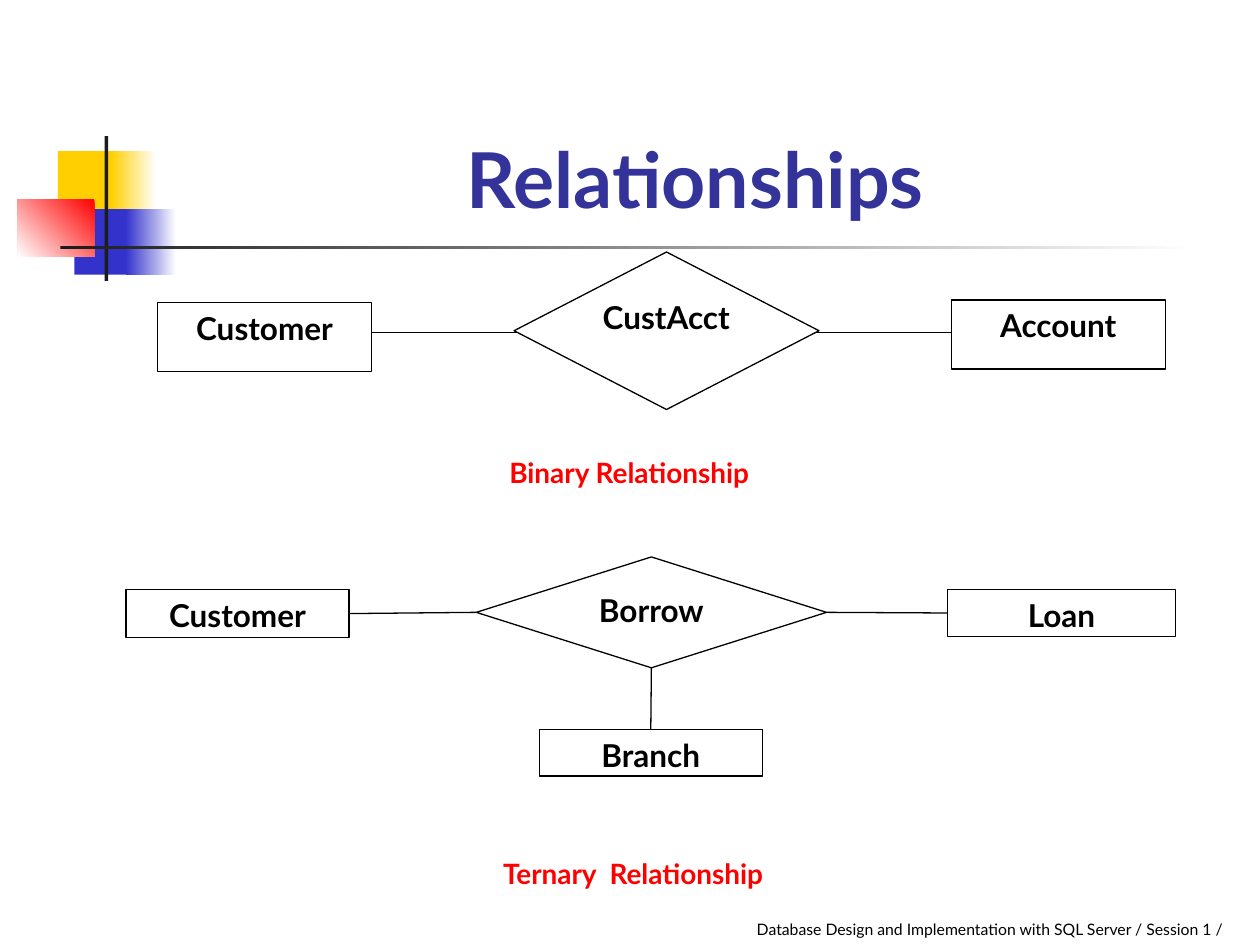
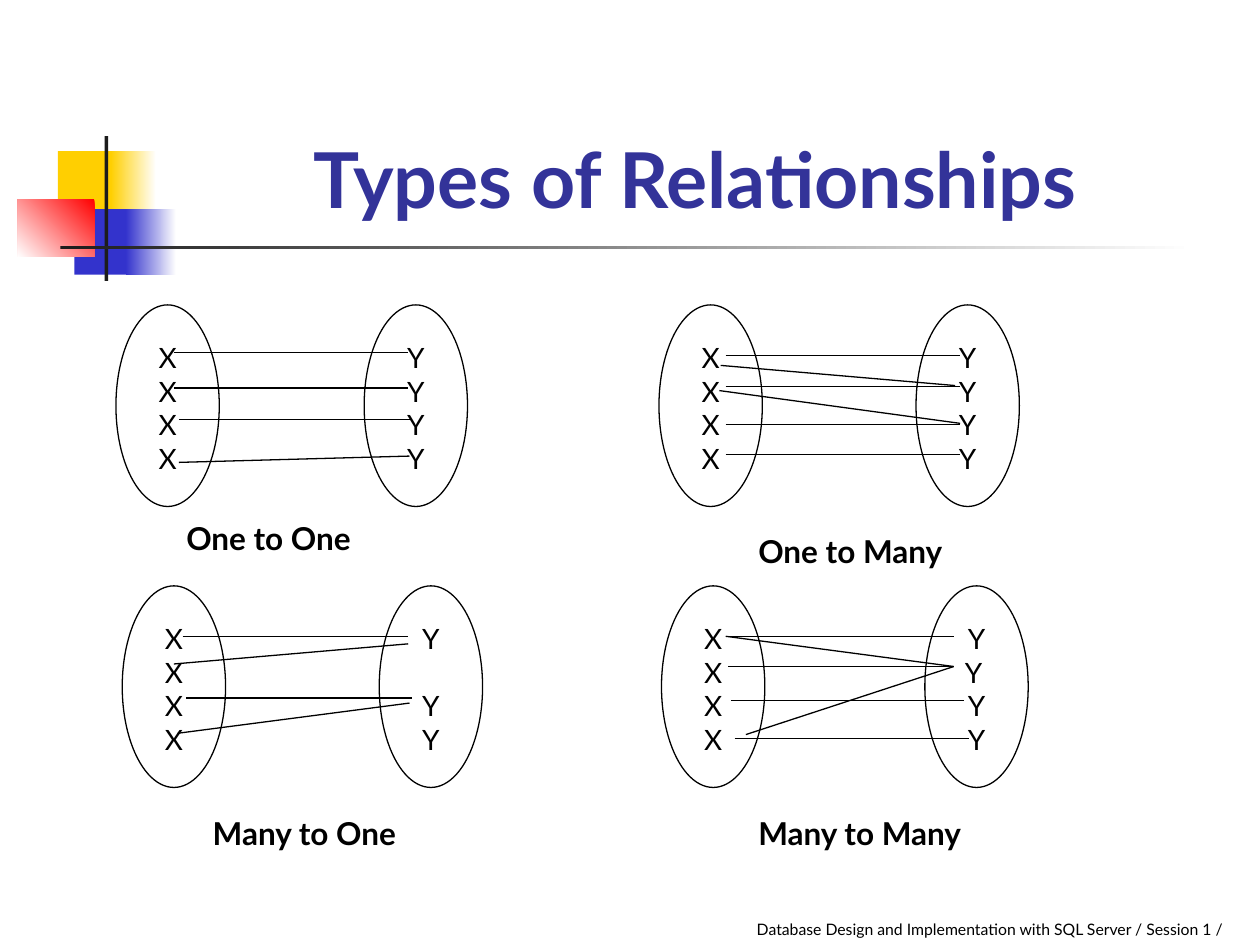
from lxml import etree
from pptx import Presentation, util as u
from pptx.dml.color import RGBColor
from pptx.enum import shapes, text
from pptx.oxml.ns import qn

PX = 9144
COLORS = {
    "white": "FFFFFF", "black": "000000", "title": "333399", "caption": "FF0000",
    "yellow": "FFCF01", "blue": "3333CC", "red": "FF0000", "bar": "1C1C1C",
}
FONT = "Lato"
FOOTER = "Database Design and Implementation with SQL Server / Session 1 /"
RECT = shapes.MSO_SHAPE.RECTANGLE
OVAL = shapes.MSO_SHAPE.OVAL
DIAMOND = shapes.MSO_SHAPE.FLOWCHART_DECISION
TOP, LEFT, BOTTOM, RIGHT = range(4)
ALIGN = text.PP_ALIGN
ANCHOR = text.MSO_ANCHOR

BLOCKS = [
    ((46, 120, 48, 52), ["yellow"], 0),
    ((88, 120, 36, 52), ["yellow", "white"], 0),
    ((59, 166, 46, 52), ["blue"], 0),
    ((100, 166, 40, 52), ["blue", "white"], 0),
    ((14, 158, 61, 46), ["red", "white"], 225),
    ((83, 108, 3, 115), ["bar"], 0),
    ((48, 195, 900, 3), ["bar", "white"], 0),
]

MAPPINGS = [
    ("One to One", (92, 289), 242, (138, 407, 165, 43), ["Y"] * 4, {},
     [(138, 280, 324, 280), (138, 308, 324, 308),
      (142, 333, 327, 333), (142, 367, 325, 362)]),
    ("One to Many", (523, 727), 242, (592, 417, 185, 43), ["Y"] * 4, {},
     [(576, 282, 762, 282), (576, 307, 762, 307), (571, 310, 762, 336),
      (576, 361, 762, 361), (572, 290, 758, 306), (576, 337, 762, 337)]),
    ("Many to One", (97, 301), 465, (159, 641, 186, 43), ["Y"] * 3, {1: 19.2},
     [(145, 505, 324, 505), (138, 527, 324, 511),
      (148, 554, 327, 554), (141, 582, 325, 558)]),
    ("Many to Many", (525, 734), 465, (592, 641, 206, 43), ["Y", "Y ", "Y", "Y"], {},
     [(578, 505, 757, 505), (578, 529, 756, 529), (576, 505, 757, 529),
      (580, 556, 765, 556), (583, 586, 769, 586), (592, 583, 757, 529)]),
]


def apply(target, values):
    for name, value in values.items():
        setattr(target, name, value)


def color(name):
    return RGBColor.from_string(COLORS[name])


class SlideBuilder:
    """Holds the deck style and draws elements on the current slide."""

    def __init__(self):
        self.deck = Presentation()
        apply(self.deck, {"slide_width": 1000 * PX, "slide_height": 750 * PX})
        self.page = None

    def start(self, title):
        self.page = self.deck.slides.add_slide(self.deck.slide_layouts[5])
        for place, names, angle in BLOCKS:
            self.block(place, names, angle)
        box = self.page.shapes.title
        apply(box, dict(zip(("left", "top", "width", "height"),
                            self.scaled(126, 23, 852, 160))))
        self.fill_text(box, [title], 44, ink="title", bold=True, anchor=ANCHOR.BOTTOM)

    def footer(self):
        self.label((405, 700, 575, 50), FOOTER, 9, align=ALIGN.RIGHT,
                   anchor=ANCHOR.BOTTOM)

    def scaled(self, *lengths):
        return [length * PX for length in lengths]

    def fill_text(self, box, lines, size, ink="black", bold=False, align=ALIGN.CENTER,
                  anchor=ANCHOR.TOP, wrap=True, gaps=None):
        frame = box.text_frame
        apply(frame, {
            "auto_size": text.MSO_AUTO_SIZE.NONE, "word_wrap": wrap,
            "vertical_anchor": anchor,
            "margin_left": 10 * PX, "margin_right": 10 * PX,
            "margin_top": 5 * PX, "margin_bottom": 5 * PX,
        })
        for index, line in enumerate(lines):
            para = frame.add_paragraph() if index else frame.paragraphs[0]
            apply(para, {"alignment": align, "space_before": u.Pt((gaps or {}).get(index, 0))})
            span = para.add_run()
            span.text = line
            apply(span.font, {"name": FONT, "size": u.Pt(size), "bold": bold})
            span.font.color.rgb = color(ink)

    def block(self, place, names, angle):
        box = self.page.shapes.add_shape(RECT, *self.scaled(*place))
        box.shadow.inherit = False
        box.line.fill.background()
        if len(names) == 1:
            box.fill.solid()
            box.fill.fore_color.rgb = color(names[0])
            return
        box.fill.gradient()
        box.fill.gradient_angle = angle
        for stop, name in zip(box.fill.gradient_stops, names):
            stop.color.rgb = color(name)

    def node(self, kind, place, lines, size=18, bold=True, **style):
        box = self.page.shapes.add_shape(kind, *self.scaled(*place))
        box.shadow.inherit = False
        box.fill.solid()
        box.fill.fore_color.rgb = color("white")
        box.line.color.rgb = color("black")
        box.line.width = u.Pt(0.75)
        self.fill_text(box, lines, size, bold=bold, **style)
        return box

    def label(self, place, line, size, **style):
        box = self.page.shapes.add_textbox(*self.scaled(*place))
        self.fill_text(box, [line], size, **style)

    def line(self, *ends):
        link = self.page.shapes.add_connector(
            shapes.MSO_CONNECTOR.STRAIGHT, *self.scaled(*ends))
        link.line.color.rgb = color("black")
        link.line.width = u.Pt(0.75)
        etree.SubElement(link._element.spPr, qn("a:effectLst"))
        return link

    def join(self, first, first_side, second, second_side):
        link = self.line(0, 0, 0, 0)
        link.begin_connect(first, first_side)
        link.end_connect(second, second_side)

    def caption(self, place, line):
        self.label(place, line, 16, ink="caption", bold=True,
                   anchor=ANCHOR.MIDDLE, wrap=False)


def draw_relationships(builder):
    builder.start("Relationships")
    builder.node(RECT, (125, 240, 170, 55), ["Customer"])
    builder.node(RECT, (755, 238, 170, 55), ["Account"])
    for left, right in ((295, 442), (608, 755)):
        builder.line(left, 264, right, 264)
    builder.node(DIAMOND, (408, 200, 242, 125), ["CustAcct"], align=ALIGN.LEFT)
    builder.caption((381, 356, 237, 37), "Binary Relationship")

    customer = builder.node(RECT, (100, 468, 177, 38), ["Customer"])
    loan = builder.node(RECT, (752, 468, 181, 37), ["Loan"])
    borrow = builder.node(DIAMOND, (378, 442, 278, 88), ["Borrow"])
    branch = builder.node(RECT, (428, 579, 177, 37), ["Branch"])
    builder.join(customer, RIGHT, borrow, LEFT)
    builder.join(borrow, RIGHT, loan, LEFT)
    builder.join(borrow, BOTTOM, branch, TOP)
    builder.caption((374, 675, 257, 37), "Ternary  Relationship")
    builder.footer()


def draw_relationship_types(builder):
    builder.start("Types of Relationships")
    for name, lefts, top, name_place, targets, gaps, links in MAPPINGS:
        for left, members, spaces in zip(lefts, (["X"] * 4, targets), ({}, gaps)):
            builder.node(OVAL, (left, top, 82, 160), members, 16, bold=False, gaps=spaces)
        for ends in links:
            builder.line(*ends)
        builder.label(name_place, name, 18, bold=True, align=ALIGN.LEFT)
    builder.footer()


def main():
    builder = SlideBuilder()
    draw_relationships(builder)
    draw_relationship_types(builder)
    builder.deck.save("out.pptx")


if __name__ == "__main__":
    main()
